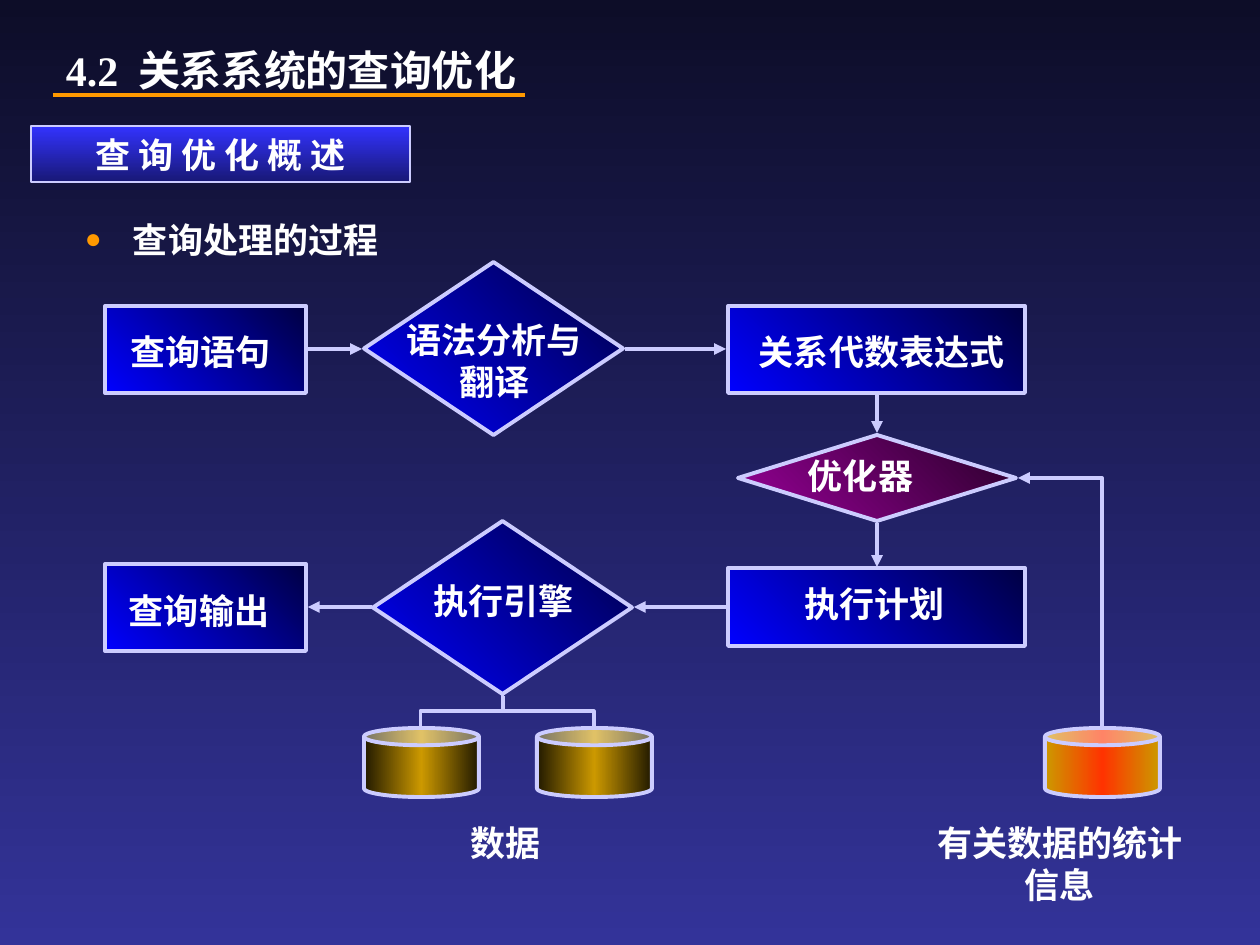
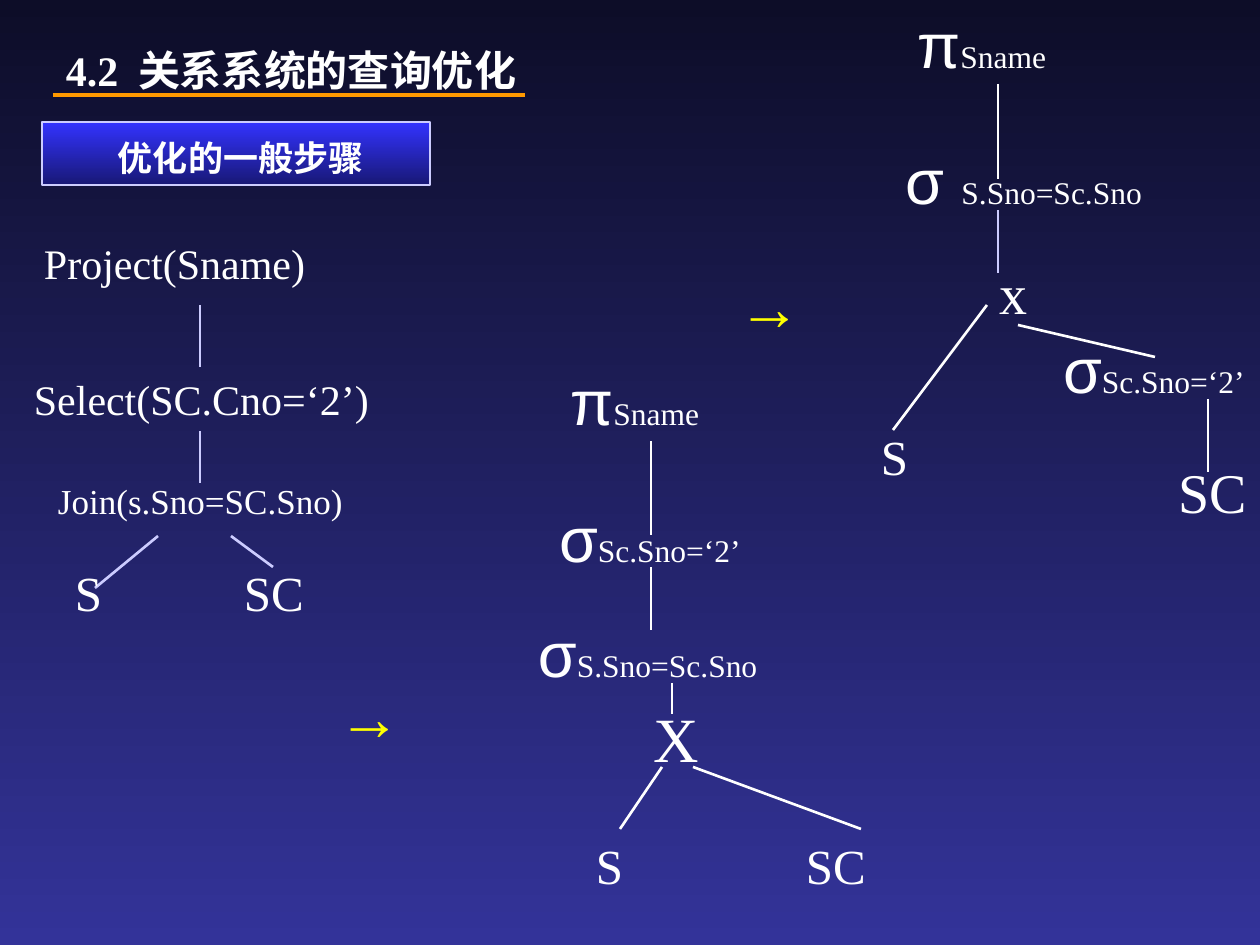
"""Build two slides on query optimisation: the processing flow and the rewriting of a query tree."""
from copy import deepcopy

from lxml import etree
from pptx import Presentation
from pptx.dml.color import RGBColor
from pptx.enum.shapes import MSO_CONNECTOR, MSO_SHAPE
from pptx.enum.text import MSO_ANCHOR, MSO_AUTO_SIZE, PP_ALIGN
from pptx.oxml.ns import qn
from pptx.util import Pt

PX = 914400 / 126
RECT, DIAMOND, CAN = MSO_SHAPE.RECTANGLE, MSO_SHAPE.DIAMOND, MSO_SHAPE.CAN
STRAIGHT, ELBOW = MSO_CONNECTOR.STRAIGHT, MSO_CONNECTOR.ELBOW
LEFT, CENTER = PP_ALIGN.LEFT, PP_ALIGN.CENTER
TOP, MIDDLE = MSO_ANCHOR.TOP, MSO_ANCHOR.MIDDLE
COLORS = {
    "night": "0D0D28", "indigo": "333399", "white": "FFFFFF", "lilac": "CCCCFF",
    "orange": "FF9900", "yellow": "FFFF00", "band": "3333FF", "band_dark": "181876",
    "blue": "0000FF", "navy": "000043", "purple": "990099", "plum": "280028",
    "gold": "CC9900", "brown": "211900", "red": "FF3300",
}
RGB = {name: RGBColor.from_string(value) for name, value in COLORS.items()}


def write(holder, text, symbol="", size=20, color="white", bold=False, font="Times New Roman",
          align=LEFT, anchor=TOP, indent=13, spacing=1.0):
    """Put one formatted paragraph, with an optional large leading symbol, into a shape."""
    frame = holder.text_frame
    frame.word_wrap = True
    frame.auto_size = MSO_AUTO_SIZE.NONE
    frame.vertical_anchor = anchor
    frame.margin_left = round(indent * PX)
    frame.margin_right = round(13 * PX) if align == CENTER else 0
    frame.margin_top = frame.margin_bottom = round(6 * PX)
    paragraph = frame.paragraphs[0]
    paragraph.alignment = align
    paragraph.line_spacing = spacing
    paragraph.space_before = Pt(0)
    for part, part_size, part_font in ((symbol, 36, "Arial"), (text, size, font)):
        if part:
            run = paragraph.add_run()
            run.text = part
            run.font.size = Pt(part_size)
            run.font.name = part_font
            run.font.bold = bold
            run.font.color.rgb = RGB[color]


def draw(slide, preset, box, stops, angle, width):
    """Add a preset shape with an evenly spaced gradient and a lilac outline."""
    shape = slide.shapes.add_shape(preset, *(round(v * PX) for v in box))
    shape.shadow.inherit = False
    shape.line.color.rgb = RGB["lilac"]
    shape.line.width = Pt(width)
    shape.fill.gradient()
    shape.fill.gradient_angle = angle
    stop_list = shape.element.spPr.find(".//" + qn("a:gsLst"))
    for _ in stops[2:]:
        stop_list.insert(1, deepcopy(stop_list[0]))
    for i, (stop, name) in enumerate(zip(shape.fill.gradient_stops, stops)):
        stop.position = i / (len(stops) - 1)
        stop.color.rgb = RGB[name]
    return shape


prs = Presentation()
prs.slide_width, prs.slide_height = round(1260 * PX), round(945 * PX)
backdrop = prs.slide_master.background.fill
backdrop.gradient()
backdrop.gradient_angle = 270
for stop, name in zip(backdrop.gradient_stops, ("night", "indigo")):
    stop.color.rgb = RGB[name]

flow = prs.slides.add_slide(prs.slide_layouts[1])
steps = prs.slides.add_slide(prs.slide_layouts[5])
labels = []
links = []

for slide, band_box, band_text, band_format in (
    (flow, (31, 126, 379, 56), "查 询 优 化 概 述", {"align": CENTER}),
    (steps, (42, 122, 388, 63), "优化的一般步骤", {"indent": 76, "spacing": 1.2}),
):
    title = slide.shapes.title
    title.left, title.top, title.width, title.height = (round(v * PX) for v in (125, 14, 442, 112))
    write(title, "关系系统的查询优化", size=24, bold=True, anchor=MIDDLE)
    labels.append((slide, (53, 39, 80, 63), "4.2", {"size": 24, "bold": True}))
    links.append((slide, "orange", 2.25, (53, 95, 525, 95), ""))
    band = draw(slide, RECT, band_box, ("band", "band_dark"), 270, 0.75)
    write(band, band_text, bold=True, anchor=MIDDLE, **band_format)

topic = flow.placeholders[1]
topic.left, topic.top, topic.width, topic.height = (round(v * PX) for v in (72, 212, 330, 55))
topic_props = topic.text_frame.paragraphs[0]._p.get_or_add_pPr()
topic_props.set("marL", str(round(48 * PX)))
topic_props.set("indent", str(-round(48 * PX)))
bullet_color = etree.SubElement(topic_props, qn("a:buClr"))
etree.SubElement(bullet_color, qn("a:srgbClr"), val=COLORS["orange"])
etree.SubElement(topic_props, qn("a:buSzPct"), val="80000")
etree.SubElement(topic_props, qn("a:buFont"), typeface="Times New Roman")
etree.SubElement(topic_props, qn("a:buChar"), char="●")
write(topic, "查询处理的过程", bold=True)

process = ("blue", "navy")
data_store = ("brown", "gold", "brown")
for preset, box, stops, angle in (
    (DIAMOND, (373, 521, 259, 173), process, 45),
    (DIAMOND, (364, 262, 259, 173), process, 45),
    (DIAMOND, (738, 435, 278, 86), ("purple", "plum"), 45),
    (RECT, (105, 306, 201, 87), process, 45),
    (RECT, (105, 564, 201, 87), process, 45),
    (RECT, (728, 306, 297, 87), process, 45),
    (RECT, (728, 568, 297, 78), process, 45),
    (CAN, (364, 728, 115, 69), data_store, 0),
    (CAN, (537, 728, 115, 69), data_store, 0),
    (CAN, (1045, 728, 115, 69), ("gold", "red", "gold"), 0),
):
    draw(flow, preset, box, stops, angle, 2.25)

for box, text, align in (
    ((117, 324, 185, 55), "查询语句", LEFT),
    ((116, 583, 185, 55), "查询输出", LEFT),
    ((746, 324, 278, 55), "关系代数表达式", LEFT),
    ((735, 576, 280, 55), "执行计划", CENTER),
    ((393, 312, 203, 97), "语法分析与翻译", CENTER),
    ((402, 573, 203, 55), "执行引擎", CENTER),
    ((795, 448, 140, 55), "优化器", LEFT),
    ((428, 815, 155, 55), "数据", CENTER),
    ((913, 815, 294, 97), "有关数据的统计信息", CENTER),
):
    labels.append((flow, box, text, {"bold": True, "align": align}))

for ends in (
    (308, 349, 362, 349), (625, 349, 726, 349), (877, 394, 877, 433), (877, 523, 877, 567),
    (726, 607, 634, 607), (372, 607, 308, 607),
):
    links.append((flow, "lilac", 2.25, ends, "a:tailEnd"))

for ends, preset, turn, arrow in (
    ((1018, 478, 1102, 727), "bentConnector2", 0, "a:headEnd"),
    ((446, 670, 477, 752), "bentConnector3", 90, ""),
    ((564, 666, 533, 757), "bentConnector3", 270, ""),
):
    links.append((flow, "lilac", 2.25, ends, arrow, preset, turn))

for left, top, symbol, text in (
    (525, 609, "σ", "S.Sno=Sc.Sno"),
    (546, 494, "σ", "Sc.Sno=‘2’"),
    (557, 357, "π", "Sname"),
    (892, 136, "σ ", "S.Sno=Sc.Sno"),
    (1050, 325, "σ", "Sc.Sno=‘2’"),
    (904, 0, "π", "Sname"),
):
    width = min(336, 1260 - left)
    labels.append((steps, (left, top, width, 88), text, {"symbol": symbol, "size": 18}))

for left, top, width, text, size in (
    (31, 231, 378, "Project(Sname)", 24),
    (21, 368, 430, "Select(SC.Cno=‘2’)", 24),
    (45, 473, 400, "Join(s.Sno=SC.Sno)", 20),
    (62, 557, 100, "S", 28),
    (231, 557, 126, "SC", 28),
    (640, 693, 105, "X", 36),
    (583, 829, 100, "S", 28),
    (793, 829, 126, "SC", 28),
    (987, 252, 100, "x", 32),
    (868, 420, 100, "S", 28),
    (1165, 451, 95, "SC", 32),
):
    labels.append((steps, (left, top, width, 80), text, {"size": size}))

for left, top in ((325, 672), (725, 262)):
    arrow_format = {"size": 36, "color": "yellow", "font": "Arial"}
    labels.append((steps, (left, top, 179, 88), "→", arrow_format))

for color, branches in (
    ("lilac", (
        (200, 305, 200, 367), (200, 431, 200, 483), (158, 536, 95, 588), (231, 536, 273, 567),
        (998, 210, 998, 273),
    )),
    ("white", (
        (651, 441, 651, 535), (651, 567, 651, 630), (672, 683, 672, 714),
        (662, 767, 620, 829), (693, 767, 861, 829),
        (998, 84, 998, 179), (987, 305, 893, 430), (1018, 325, 1155, 357), (1208, 399, 1208, 472),
    )),
):
    for ends in branches:
        links.append((steps, color, 1.5, ends, ""))

for slide, color, width, ends, arrow, *bend in links:
    kind = ELBOW if bend else STRAIGHT
    link = slide.shapes.add_connector(kind, *(round(v * PX) for v in ends))
    link.line.color.rgb = RGB[color]
    link.line.width = Pt(width)
    outline = link.element.spPr
    if arrow:
        etree.SubElement(outline.find(qn("a:ln")), qn(arrow), type="triangle")
    if bend:
        preset, turn = bend
        outline.find(qn("a:prstGeom")).set("prst", preset)
        outline.find(qn("a:xfrm")).set("rot", str(turn * 60000))
    etree.SubElement(outline, qn("a:effectLst"))

for slide, box, text, text_format in labels:
    label = slide.shapes.add_textbox(*(round(v * PX) for v in box))
    write(label, text, **text_format)

prs.save("out.pptx")
